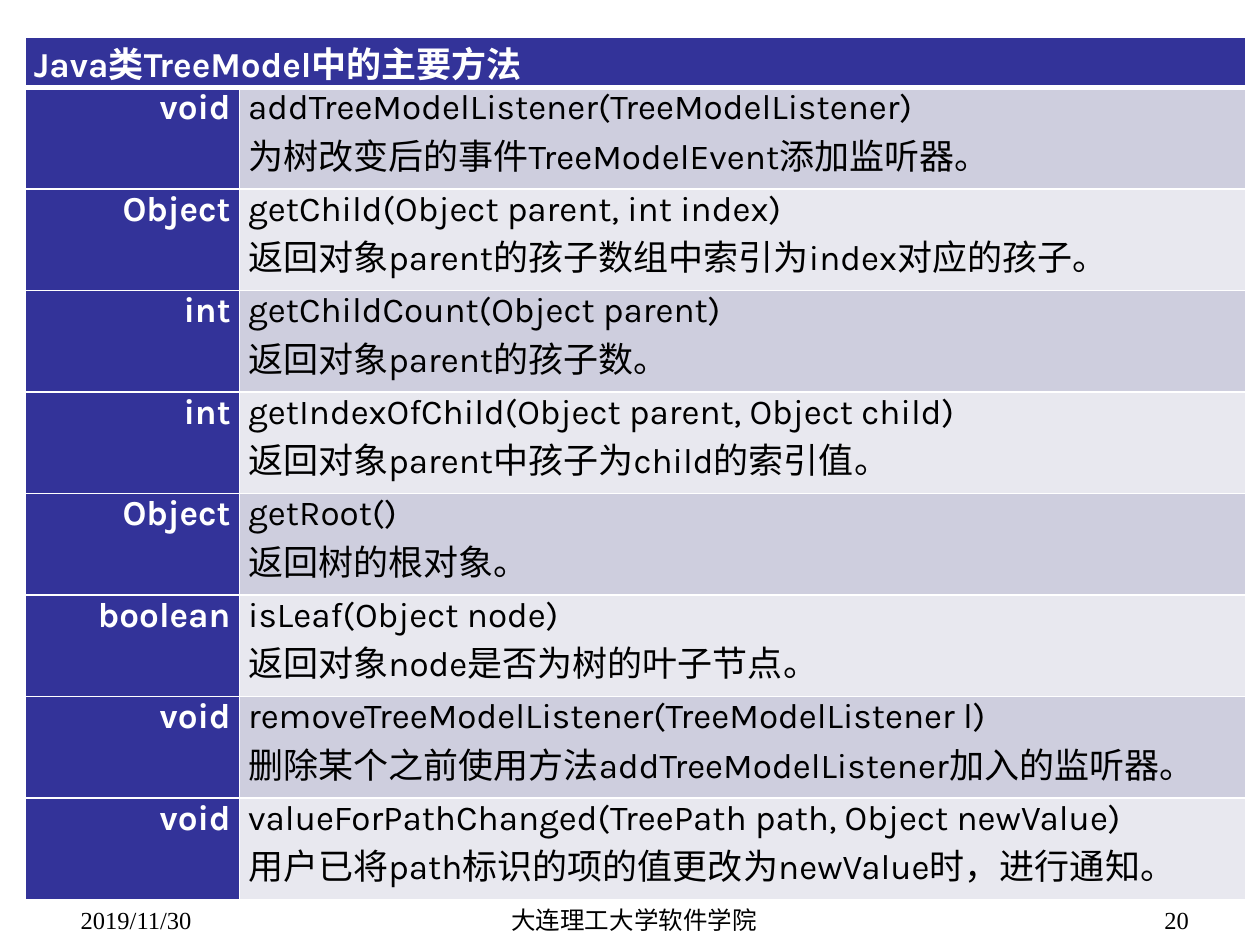
from lxml.etree import SubElement
from pptx import Presentation
from pptx.dml.color import RGBColor
from pptx.enum.text import MSO_ANCHOR as Anchor, PP_ALIGN as Align
from pptx.oxml import parse_xml
from pptx.oxml.ns import nsdecls, qn
from pptx.util import Pt

NAVY = RGBColor(0x33, 0x33, 0x99)
LILAC = RGBColor(0xCE, 0xCE, 0xDE)
PALE = RGBColor(0xE8, 0xE8, 0xEF)
WHITE = RGBColor(0xFF, 0xFF, 0xFF)
BLACK = RGBColor(0x00, 0x00, 0x00)

LATIN, CJK, SERIF = "Karla", "Noto Sans CJK KR", "Times New Roman"

HEADING = "Java类TreeModel中的主要方法"
# Return type, signature, description
METHODS = [
    ("void", "addTreeModelListener(TreeModelListener)",
     "为树改变后的事件TreeModelEvent添加监听器。"),
    ("Object", "getChild(Object parent, int index)",
     "返回对象parent的孩子数组中索引为index对应的孩子。"),
    ("int", "getChildCount(Object parent)", "返回对象parent的孩子数。"),
    ("int", "getIndexOfChild(Object parent, Object child)",
     "返回对象parent中孩子为child的索引值。"),
    ("Object", "getRoot()", "返回树的根对象。"),
    ("boolean", "isLeaf(Object node)", "返回对象node是否为树的叶子节点。"),
    ("void", "removeTreeModelListener(TreeModelListener l)",
     "删除某个之前使用方法addTreeModelListener加入的监听器。"),
    ("void", "valueForPathChanged(TreePath path, Object newValue)",
     "用户已将path标识的项的值更改为newValue时，进行通知。"),
]


def write(tf, *lines, size=20, font=LATIN, color=BLACK, bold=False, align=Align.LEFT):
    """Write one paragraph per line, all in the same format."""
    for i, line in enumerate(lines):
        p = tf.add_paragraph() if i else tf.paragraphs[0]
        p.alignment = align
        r = p.add_run()
        r.text = line
        r.font.size, r.font.bold, r.font.name = Pt(size), bold, font
        r.font.color.rgb = color
        SubElement(r.font._element, qn("a:ea"), typeface=CJK)


def set_borders(cell, **widths):
    """Draw white borders, 1 pt unless a side is given another width."""
    tcPr = cell._tc.get_or_add_tcPr()
    for i, side in enumerate("LRTB"):
        tcPr.insert(i, parse_xml(
            f'<a:ln{side} {nsdecls("a")} w="{Pt(widths.get(side, 1))}"><a:solidFill>'
            f'<a:srgbClr val="{WHITE}"/></a:solidFill></a:ln{side}>'))


def fill_cell(cell, *lines, fill, borders, **fmt):
    cell.margin_left = cell.margin_right = Pt(5)
    cell.margin_top = cell.margin_bottom = 0
    cell.vertical_anchor = Anchor.TOP
    cell.fill.solid()
    cell.fill.fore_color.rgb = fill
    set_borders(cell, **borders)
    write(cell.text_frame, *lines, **fmt)


def add_method_table(s):
    rows = len(METHODS) + 1
    table = s.shapes.add_table(rows, 2, Pt(14.4), Pt(21), Pt(697.7), Pt(493)).table
    for col, width in zip(table.columns, (122.4, 575.3)):
        col.width = Pt(width)
    for i, row in enumerate(table.rows):
        row.height = Pt(58 if i else 29)

    # Heading across both columns
    table.cell(0, 0).merge(table.cell(0, 1))
    fill_cell(table.cell(0, 0), HEADING, fill=NAVY, borders={"B": 3},
              color=WHITE, bold=True)
    set_borders(table.cell(0, 1), B=3)

    # One banded row per method
    for i, (kind, signature, description) in enumerate(METHODS, 1):
        borders = {"T": 3} if i == 1 else {}
        fill_cell(table.cell(i, 0), kind, fill=NAVY, borders=borders,
                  color=WHITE, bold=True, align=Align.RIGHT)
        fill_cell(table.cell(i, 1), signature, description,
                  fill=LILAC if i % 2 else PALE, borders=borders)


def add_footer(s, text, left, width, **fmt):
    tf = s.shapes.add_textbox(Pt(left), Pt(514), Pt(width), Pt(20)).text_frame
    tf.word_wrap = True
    tf.margin_top = tf.margin_bottom = 0
    tf.vertical_anchor = Anchor.BOTTOM
    write(tf, text, size=14, **fmt)


def main():
    prs = Presentation()
    prs.slide_width, prs.slide_height = Pt(720), Pt(540)
    s = prs.slides.add_slide(prs.slide_layouts[6])

    # Footer line: date, school, page number
    add_footer(s, "2019/11/30", 39, 168, font=SERIF)
    add_footer(s, "大连理工大学软件学院", 248.4, 228, font=CJK, align=Align.CENTER)
    add_footer(s, "20", 518.4, 168, font=SERIF, align=Align.RIGHT)

    add_method_table(s)
    prs.save("out.pptx")


if __name__ == "__main__":
    main()
